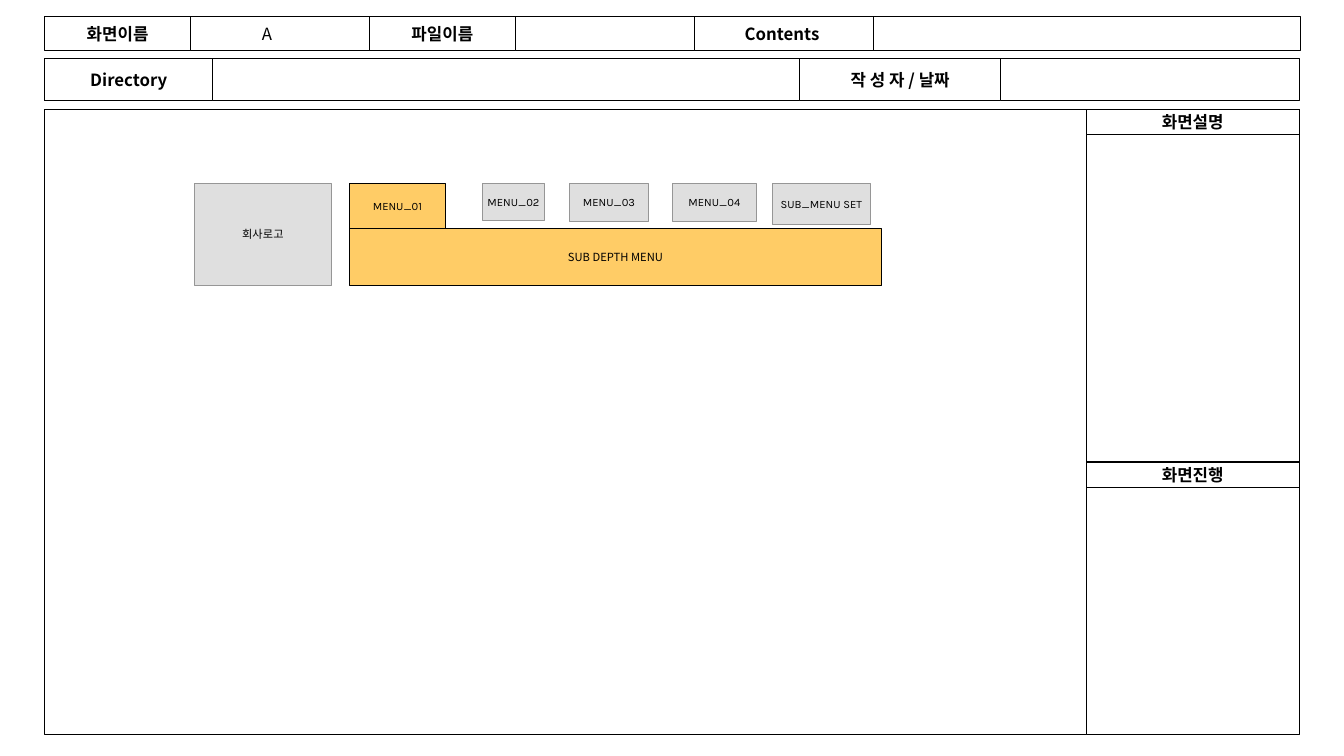
from itertools import pairwise

from lxml import etree
from pptx import Presentation
from pptx.dml.color import RGBColor
from pptx.enum.shapes import MSO_SHAPE
from pptx.enum.text import MSO_ANCHOR, MSO_AUTO_SIZE, PP_ALIGN
from pptx.oxml.ns import qn
from pptx.util import Pt

RECTANGLE = MSO_SHAPE.RECTANGLE
MIDDLE = MSO_ANCHOR.MIDDLE
CENTER = PP_ALIGN.CENTER
FIT_SHAPE = MSO_AUTO_SIZE.SHAPE_TO_FIT_TEXT

COLORS = {
    "ink": "000000",
    "paper": "FFFFFF",
    "grey": "C0C0C0",
    "grey_edge": "969696",
    "active": "FFCC66",
}
NOTO = "Noto Sans CJK KR"
KARLA = "Karla"

HEADER_LABELS = ["화면이름", "", "파일이름", "", "Contents ", ""]
HEADER_EDGES = [32, 136, 264, 368, 496, 624, 929.3]
SCREEN_NAME = ("A", 180, 13.5, 22.5, 21.8)

LEFT, RIGHT = 32, 928
DIRECTORY_TOP, DIRECTORY_HEIGHT = 42, 30
BODY_TOP, BODY_HEIGHT = 78, 447
SIDE_LEFT = 776
SIDE_WIDTH = RIGHT - SIDE_LEFT

FRAME = [
    ("", LEFT, DIRECTORY_TOP, RIGHT - LEFT, DIRECTORY_HEIGHT),
    ("", LEFT, BODY_TOP, 880, BODY_HEIGHT),
    ("Directory", LEFT, DIRECTORY_TOP, 120, DIRECTORY_HEIGHT),
    ("", SIDE_LEFT, BODY_TOP, SIDE_WIDTH, BODY_HEIGHT),
    ("화면설명", SIDE_LEFT, BODY_TOP, SIDE_WIDTH, 18),
    ("화면진행", SIDE_LEFT, 330, SIDE_WIDTH, 18),
    ("작 성 자 / 날짜", 571, DIRECTORY_TOP, 144, DIRECTORY_HEIGHT),
]

MENU_TOP = 131
MENU_ITEMS = [
    ("회사로고", 138.8, 98, 73, False, KARLA),
    ("MENU_01", 249.6, 68.7, 32.4, True, KARLA),
    ("MENU_02", 344.4, 44.8, 26.5, False, KARLA),
    ("MENU_03", 406.8, 56.5, 27, False, KARLA),
    ("MENU_04", 480.3, 60, 27, False, KARLA),
    ("SUB_MENU SET", 551.5, 70.5, 29.7, False, KARLA),
]
SUB_DEPTH = ("SUB DEPTH MENU", 249.6, 380.2, 40.8, True, NOTO)


def write(shape, text, font_name, size, bold=False):
    frame = shape.text_frame
    frame.word_wrap = False
    frame.text = text
    run = frame.paragraphs[0].runs[0]
    run.font.name = font_name
    run.font.size = Pt(size)
    run.font.bold = bold
    run.font.color.rgb = RGBColor.from_string(COLORS["ink"])
    east_asian = etree.SubElement(run.font._element, qn("a:ea"))
    east_asian.set("typeface", font_name)


def add_box(slide, text, left, top, width, height, fill="paper", edge="ink",
            opacity=None, font_name=NOTO, size=12, bold=True):
    box = slide.shapes.add_shape(RECTANGLE, Pt(left), Pt(top), Pt(width), Pt(height))
    box.shadow.inherit = False
    box.fill.solid()
    box.fill.fore_color.rgb = RGBColor.from_string(COLORS[fill])
    if opacity:
        color = box._element.spPr.find(qn("a:solidFill"))[0]
        etree.SubElement(color, qn("a:alpha")).set("val", str(opacity * 1000))
    box.line.color.rgb = RGBColor.from_string(COLORS[edge])
    box.line.width = Pt(0.75)
    if text:
        write(box, text, font_name, size, bold)
        box.text_frame.vertical_anchor = MIDDLE
        box.text_frame.paragraphs[0].alignment = CENTER


def add_menu(slide, item, top):
    text, left, width, height, active, font_name = item
    style = ("active", "ink", None) if active else ("grey", "grey_edge", 50)
    add_box(slide, text, left, top, width, height, *style,
            font_name=font_name, size=8, bold=False)


def main():
    deck = Presentation()
    deck.slide_width, deck.slide_height = Pt(960), Pt(540)
    slide = deck.slides.add_slide(deck.slide_layouts[6])

    for label, (left, right) in zip(HEADER_LABELS, pairwise(HEADER_EDGES)):
        add_box(slide, label, left, 12, right - left, 24)
    for part in FRAME:
        add_box(slide, *part)

    text, *bounds = SCREEN_NAME
    screen_name = slide.shapes.add_textbox(*map(Pt, bounds))
    write(screen_name, text, NOTO, 12)
    screen_name.text_frame.auto_size = FIT_SHAPE

    for item in MENU_ITEMS:
        add_menu(slide, item, MENU_TOP)
    add_menu(slide, SUB_DEPTH, MENU_TOP + 32.4)

    deck.save("out.pptx")


if __name__ == "__main__":
    main()
